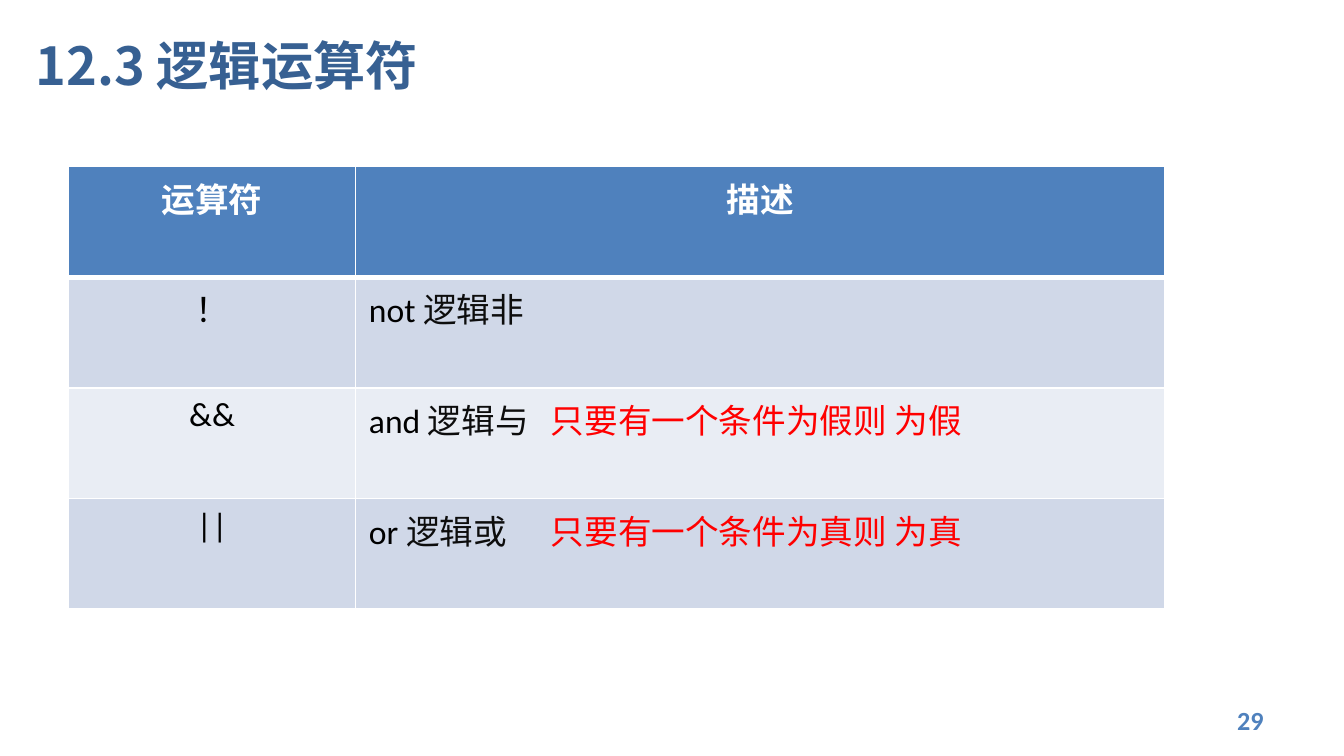
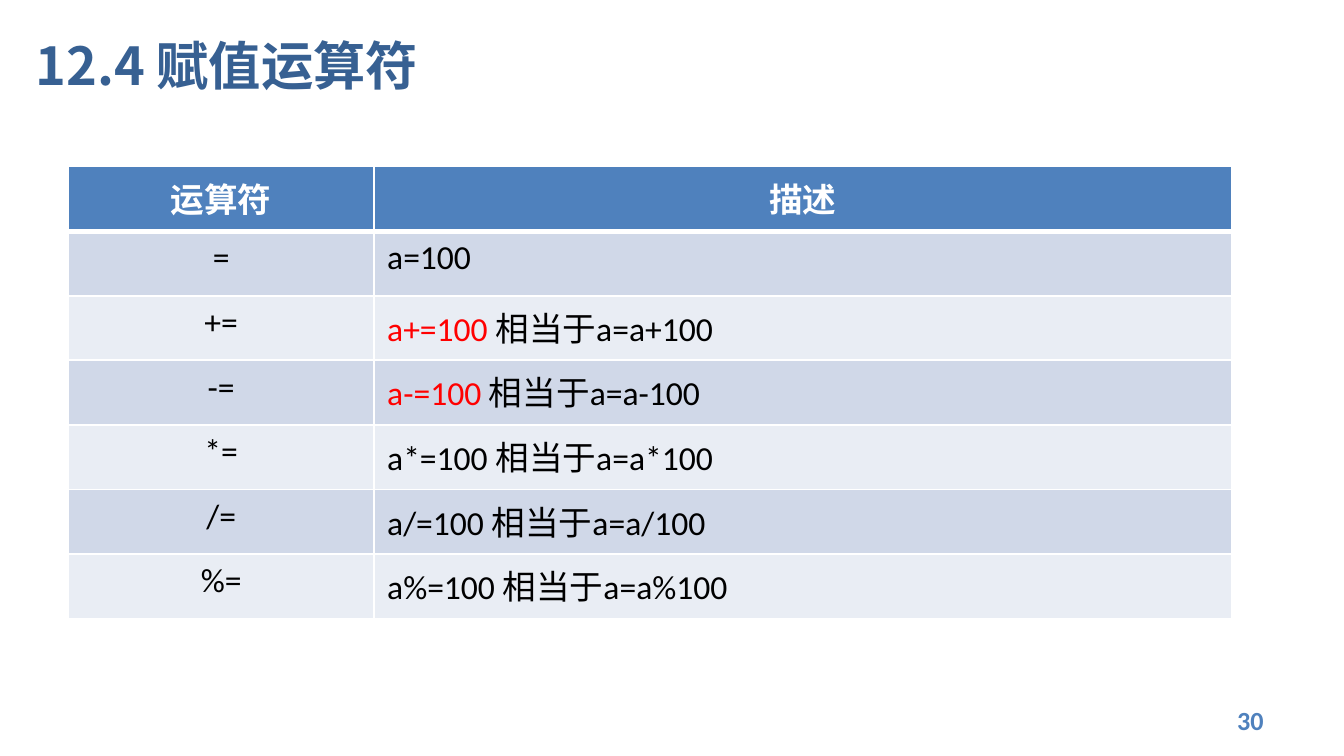
from lxml import etree
from pptx import Presentation
from pptx.dml.color import RGBColor
from pptx.enum.text import MSO_ANCHOR, PP_ALIGN
from pptx.oxml.ns import qn
from pptx.util import Pt

EMU_PER_PX = 9525  # 96 px to the inch

TITLE_BLUE = RGBColor(0x37, 0x60, 0x92)
HEADER_BLUE = RGBColor(0x4F, 0x81, 0xBD)
BAND_DARK = RGBColor(0xD0, 0xD8, 0xE8)
BAND_LIGHT = RGBColor(0xE9, 0xED, 0xF4)
WHITE = RGBColor(0xFF, 0xFF, 0xFF)
BLACK = RGBColor(0x00, 0x00, 0x00)
INK = RGBColor(0x0D, 0x0D, 0x0D)
RED = RGBColor(0xFF, 0x00, 0x00)

BODY_FONT = "Calibri"
TERM_FONT = "Karla"
HAN_FONT = "Noto Sans CJK SC"

LEFT, CENTER, RIGHT = PP_ALIGN.LEFT, PP_ALIGN.CENTER, PP_ALIGN.RIGHT
MIDDLE = MSO_ANCHOR.MIDDLE

HEADINGS = ("运算符", "描述")
TABLE_LEFT, TABLE_TOP = 49, 119
NOTE_TAB = 130  # where the red remarks start


def px(length):
    return length * EMU_PER_PX


def style_run(run, size, color, font=BODY_FONT, bold=False):
    run.font.size = Pt(size)
    run.font.color.rgb = color
    run.font.name = font
    run.font.bold = bold
    etree.SubElement(run._r.get_or_add_rPr(), qn("a:ea"), typeface=HAN_FONT)


def add_label(slide, box, text, size, color, font, align):
    frame = slide.shapes.add_textbox(*map(px, box)).text_frame
    frame.word_wrap = True
    frame.vertical_anchor = MIDDLE
    frame.text = text
    line = frame.paragraphs[0]
    line.alignment = align
    style_run(line.runs[0], size, color, font, bold=True)


def add_note_tab(paragraph):
    tabs = etree.SubElement(paragraph._p.get_or_add_pPr(), qn("a:tabLst"))
    etree.SubElement(tabs, qn("a:tab"), pos=str(px(NOTE_TAB)), algn="l")


def set_borders(cell, top, bottom):
    properties = cell._tc.get_or_add_tcPr()
    for side, width in (("L", 1), ("R", 1), ("T", top), ("B", bottom)):
        border = etree.SubElement(properties, qn(f"a:ln{side}"), w=str(Pt(width)))
        fill = etree.SubElement(border, qn("a:solidFill"))
        etree.SubElement(fill, qn("a:srgbClr"), val=str(WHITE))


def fill_cell(cell, parts, row, align):
    """Write (text, colour, font) parts into a cell styled by its row."""
    header = row == 0
    set_borders(cell, top=3 if row == 1 else 1, bottom=3 if header else 1)
    cell.fill.solid()
    band = BAND_DARK if row % 2 else BAND_LIGHT
    cell.fill.fore_color.rgb = HEADER_BLUE if header else band
    paragraph = cell.text_frame.paragraphs[0]
    paragraph.alignment = align
    if any("\t" in text for text, _, _ in parts):
        add_note_tab(paragraph)
    for text, color, font in parts:
        run = paragraph.add_run()
        run.text = text
        style_run(run, 18, color, font, bold=header)


def add_operator_table(slide, widths, height, operators):
    """Draw operator/description rows under the shared headings."""
    table = slide.shapes.add_table(
        len(operators) + 1, len(widths), px(TABLE_LEFT), px(TABLE_TOP),
        px(sum(widths)), px(height)).table
    for column, width in zip(table.columns, widths):
        column.width = px(width)
    for col, heading in enumerate(HEADINGS):
        fill_cell(table.cell(0, col), [(heading, WHITE, BODY_FONT)], 0, CENTER)
    for row, (operator, description) in enumerate(operators, start=1):
        fill_cell(table.cell(row, 0), [(operator, BLACK, BODY_FONT)], row, CENTER)
        fill_cell(table.cell(row, 1), description, row, LEFT)


def add_operator_slide(deck, title, number, widths, height, operators):
    slide = deck.slides.add_slide(deck.slide_layouts[6])
    add_operator_table(slide, widths, height, operators)
    add_label(slide, (16, 1, 864, 90), title, 28, TITLE_BLUE, HAN_FONT, LEFT)
    add_label(slide, (688, 500, 224, 29), str(number), 14, HEADER_BLUE,
              BODY_FONT, RIGHT)


def logic(keyword, term, note=None):
    parts = [(keyword + " ", BLACK, BODY_FONT), (term, INK, TERM_FONT)]
    if note:
        parts.append(("\t" + note, RED, TERM_FONT))
    return parts


def assignment(sign, color=BLACK):
    """Row for a compound assignment and its long form."""
    return f"{sign}=", [(f"a{sign}=100 ", color, BODY_FONT),
                        (f"相当于a=a{sign}100", BLACK, BODY_FONT)]


def main():
    deck = Presentation()
    deck.slide_width, deck.slide_height = px(960), px(540)

    # Logical operators
    add_operator_slide(deck, "12.3 逻辑运算符", 29, (205, 578), 316, [
        ("！", logic("not", "逻辑非")),
        ("&&", logic("and", "逻辑与", "只要有一个条件为假则 为假")),
        ("||", logic("or", "逻辑或", "只要有一个条件为真则 为真")),
    ])

    # Assignment operators
    add_operator_slide(deck, "12.4 赋值运算符", 30, (218, 613), 323, [
        ("=", [("a=100", BLACK, BODY_FONT)]),
        assignment("+", RED),
        assignment("-", RED),
        *map(assignment, "*/%"),
    ])

    deck.save("out.pptx")


if __name__ == "__main__":
    main()
